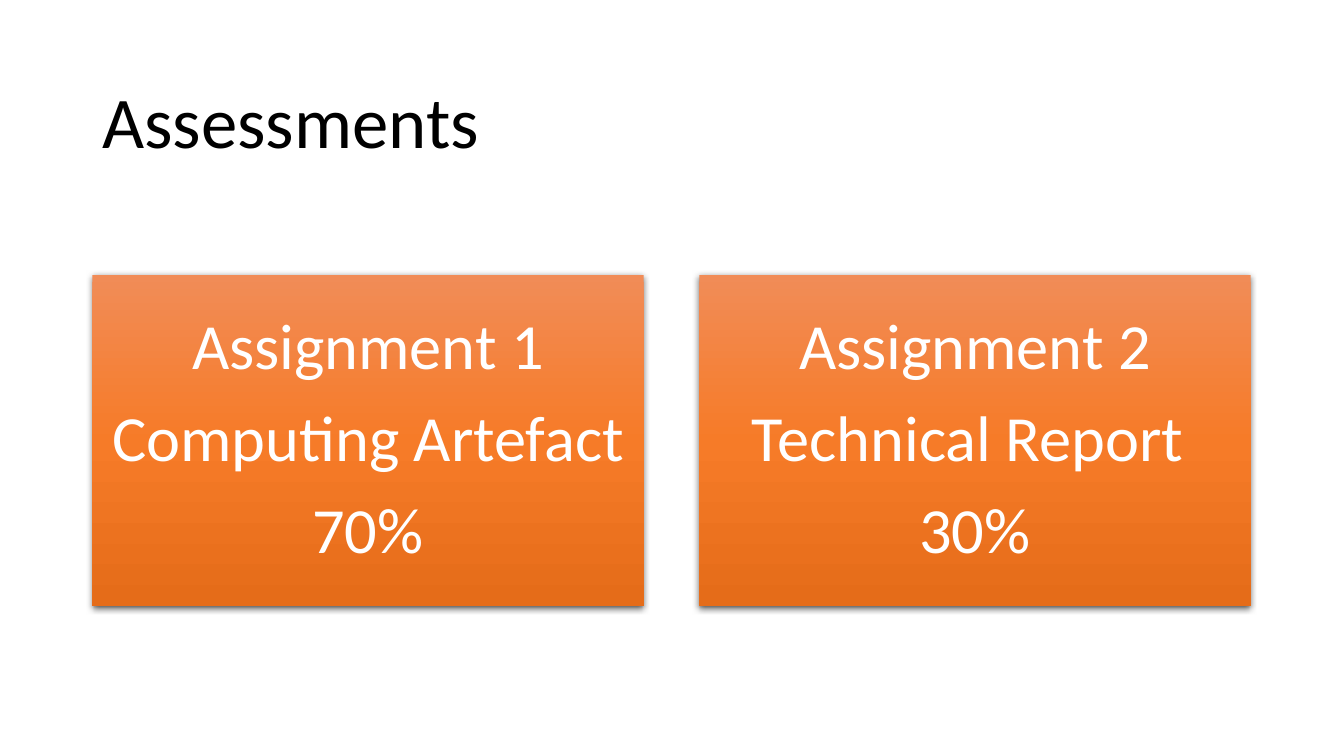
from copy import deepcopy

from lxml.etree import SubElement
from pptx import Presentation
from pptx.dml.color import RGBColor
from pptx.enum.shapes import MSO_SHAPE
from pptx.enum.text import MSO_ANCHOR, PP_ALIGN
from pptx.oxml.ns import qn
from pptx.util import Emu, Pt

PX = 9525  # EMU in one px, at 96 px to the inch
FONT = "Calibri"
BLACK = RGBColor(0x00, 0x00, 0x00)
WHITE = RGBColor(0xFF, 0xFF, 0xFF)
ORANGE_LIGHT = RGBColor(0xF1, 0x8C, 0x57)
ORANGE = RGBColor(0xF6, 0x7B, 0x28)
ORANGE_DARK = RGBColor(0xE5, 0x6C, 0x19)

MARGIN = 88
CARD_TOP, CARD_WIDTH, CARD_HEIGHT, CARD_GAP = 262, 525, 315, 53
CARD_INSET = 18

ASSIGNMENTS = [
    ("Assignment 1", "Computing Artefact", "70%"),
    ("Assignment 2", "Technical Report ", "30%"),
]


def px(length):
    return Emu(length * PX)


def write_lines(frame, lines, size, color, align=PP_ALIGN.LEFT, space_after=0):
    frame.word_wrap = True
    frame.vertical_anchor = MSO_ANCHOR.MIDDLE
    frame.text = "\n".join(lines)
    for paragraph in frame.paragraphs:
        paragraph.alignment = align
        paragraph.line_spacing = 0.9
        paragraph.space_before = Pt(0)
        paragraph.space_after = Pt(space_after)
        paragraph.font.name = FONT
        paragraph.font.size = Pt(size)
        paragraph.font.color.rgb = color


def fill_orange(shape):
    """Fill from light at the top, through orange, to dark at the bottom."""
    shape.fill.gradient()
    shape.fill.gradient_angle = 270
    stop_list = shape.element.spPr.find(".//" + qn("a:gsLst"))
    stop_list.insert(1, deepcopy(stop_list[0]))
    colors = (ORANGE_LIGHT, ORANGE, ORANGE_DARK)
    for index, (stop, color) in enumerate(zip(shape.fill.gradient_stops, colors)):
        stop.position = index / 2
        stop.color.rgb = color


def cast_shadow(shape):
    shape.shadow.inherit = False
    effects = shape.element.spPr.find(qn("a:effectLst"))
    shadow = SubElement(effects, qn("a:outerShdw"), blurRad=str(Pt(4.5)),
                        dist=str(Pt(1.5)), dir="5400000", algn="ctr",
                        rotWithShape="0")
    color = SubElement(shadow, qn("a:srgbClr"), val=str(BLACK))
    SubElement(color, qn("a:alpha"), val="63000")


def add_title(slide, title):
    box = slide.shapes.add_textbox(px(MARGIN), px(59), px(1104), px(119))
    write_lines(box.text_frame, [title], 52, BLACK)


def add_assignment(slide, left, lines):
    card = slide.shapes.add_shape(MSO_SHAPE.RECTANGLE, px(left), px(CARD_TOP),
                                  px(CARD_WIDTH), px(CARD_HEIGHT))
    fill_orange(card)
    card.line.fill.background()
    cast_shadow(card)
    frame = card.text_frame
    frame.margin_left = frame.margin_right = px(CARD_INSET)
    frame.margin_top = frame.margin_bottom = px(CARD_INSET)
    write_lines(frame, lines, 46, WHITE, PP_ALIGN.CENTER, space_after=16)


def main():
    deck = Presentation()
    deck.slide_width, deck.slide_height = px(1280), px(720)
    slide = deck.slides.add_slide(deck.slide_layouts[6])
    add_title(slide, "Assessments")
    for column, lines in enumerate(ASSIGNMENTS):
        add_assignment(slide, MARGIN + column * (CARD_WIDTH + CARD_GAP), lines)
    deck.save("out.pptx")


if __name__ == "__main__":
    main()
